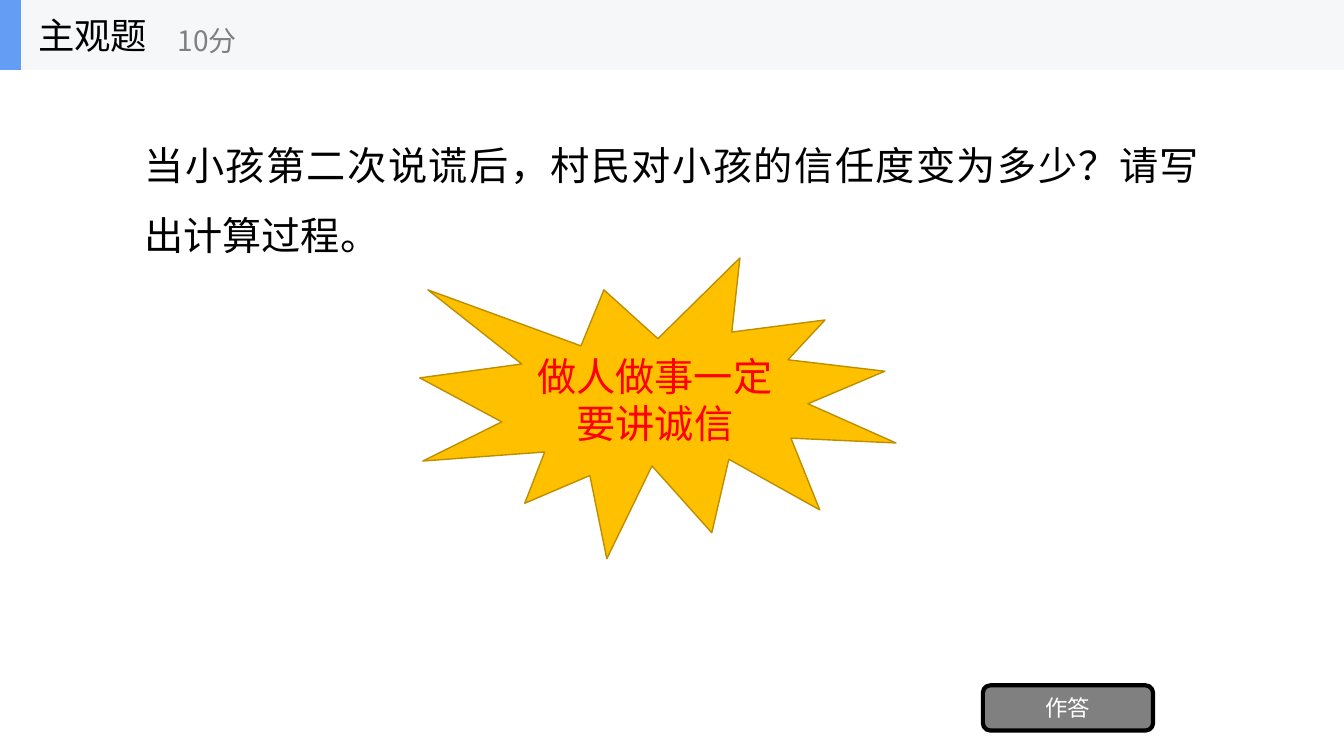
import pptx
import pptx.util
import pptx.dml.color
import pptx.enum.shapes
import pptx.enum.text
import pptx.oxml.ns
import lxml.etree
from pptx.util import Cm

COLORS = {
    "black": "000000", "white": "FFFFFF", "grey": "808080", "red": "FF0000",
    "gold": "FFC000", "dark_gold": "BD8E00", "band": "F6F7F8", "blue": "639EF4",
}
SANS = "Noto Sans CJK SC"
ALIGN = pptx.enum.text.PP_ALIGN
SHAPE = pptx.enum.shapes.MSO_SHAPE


def color(name):
    """Return the named palette colour."""
    return pptx.dml.color.RGBColor.from_string(COLORS[name])


def write(holder, text, size, ink, align=ALIGN.LEFT, font=SANS, spacing=None):
    """Put one vertically centred paragraph into a shape or text box."""
    frame = holder.text_frame
    frame.word_wrap = True
    frame.vertical_anchor = pptx.enum.text.MSO_ANCHOR.MIDDLE
    paragraph = frame.paragraphs[0]
    paragraph.alignment = align
    if spacing:
        paragraph.line_spacing = spacing
    run = paragraph.add_run()
    run.text = text
    run.font.size = pptx.util.Pt(size)
    run.font.name = font
    run.font.color.rgb = color(ink)
    east_asian = lxml.etree.SubElement(
        run._r.get_or_add_rPr(), pptx.oxml.ns.qn("a:ea"))
    east_asian.set("typeface", SANS)


def add_label(shapes, box, text, size, ink, **style):
    """Add a text box at box (left, top, width, height in cm)."""
    label = shapes.add_textbox(*map(Cm, box))
    write(label, text, size, ink, **style)


def add_filled(shapes, kind, box, fill, outline=None, width=1):
    """Add a flat preset shape at box, with an optional outline."""
    shape = shapes.add_shape(kind, *map(Cm, box))
    shape.shadow.inherit = False
    shape.fill.solid()
    shape.fill.fore_color.rgb = color(fill)
    if outline:
        shape.line.color.rgb = color(outline)
        shape.line.width = pptx.util.Pt(width)
    else:
        shape.line.fill.background()
    return shape


def add_header(slide):
    """Add the title band with the question type and its score."""
    header = slide.shapes.add_group_shape().shapes
    add_filled(header, SHAPE.RECTANGLE, (0, 0, 33.87, 1.76), "band")
    add_filled(header, SHAPE.RECTANGLE, (0, 0, 0.53, 1.76), "blue")
    add_label(header, (0.71, 0, 5.29, 1.76), "主观题", 26, "black")
    add_label(header, (4.23, 0.3, 6.35, 1.42), "10分", 20, "grey")


def main():
    """Build the question slide and save it."""
    deck = pptx.Presentation()
    deck.slide_width, deck.slide_height = Cm(33.87), Cm(19.05)
    slide = deck.slides.add_slide(deck.slide_layouts[6])

    add_label(slide.shapes, (3.39, 1.76, 27.09, 5.95),
              "当小孩第二次说谎后，村民对小孩的信任度变为多少？请写出计算过程。",
              28, "black", align=ALIGN.JUSTIFY, font="Cambria", spacing=1.5)
    answer = add_filled(slide.shapes, SHAPE.ROUNDED_RECTANGLE,
                        (24.77, 17.27, 4.29, 1.14), "grey", "black", 3)
    write(answer, "作答", 16, "white", ALIGN.CENTER)
    moral = add_filled(slide.shapes, SHAPE.EXPLOSION1,
                       (10.58, 6.5, 12, 7.58), "gold", "dark_gold")
    write(moral, "做人做事一定要讲诚信", 28, "red", ALIGN.CENTER)
    add_header(slide)

    deck.save("out.pptx")


if __name__ == "__main__":
    main()
